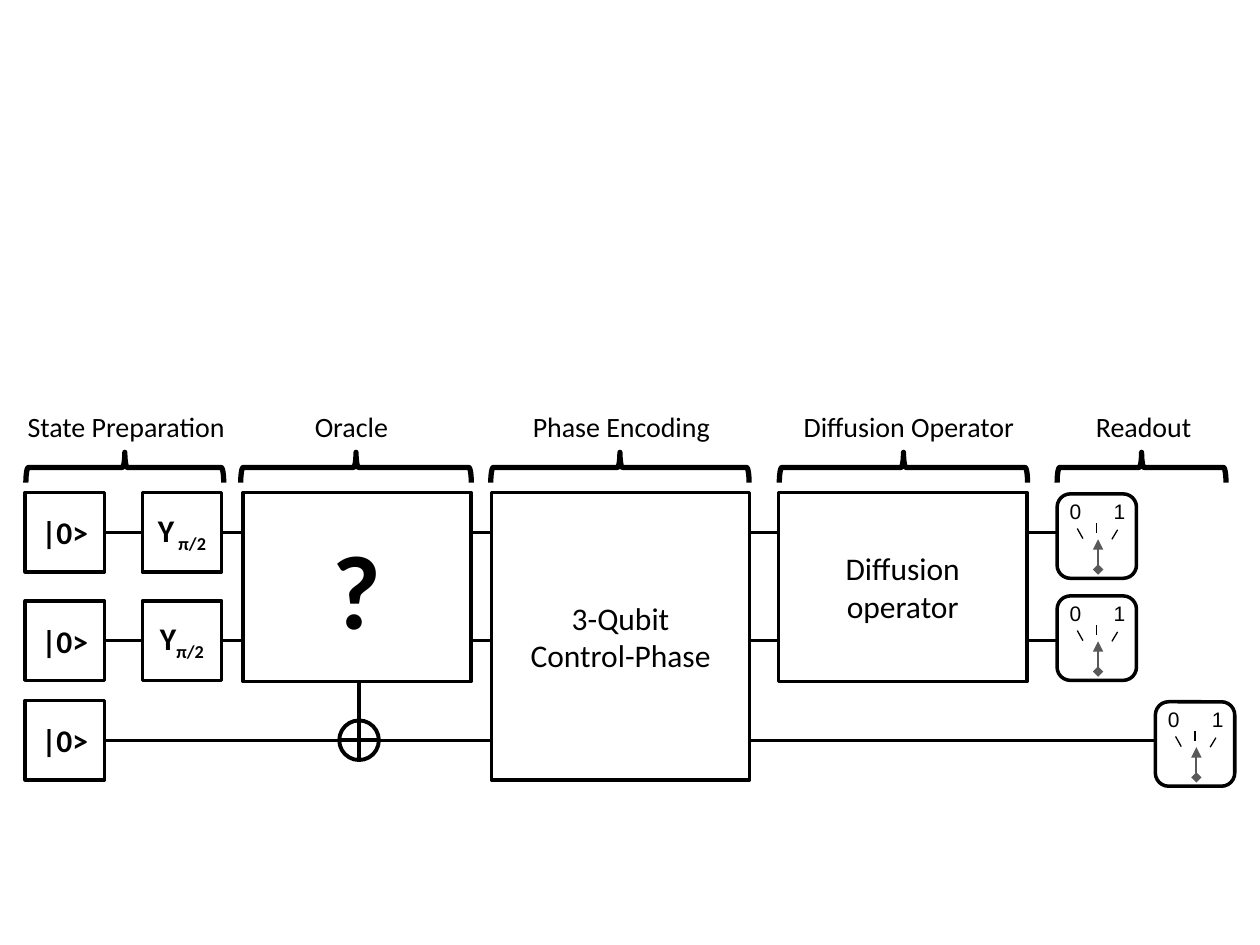
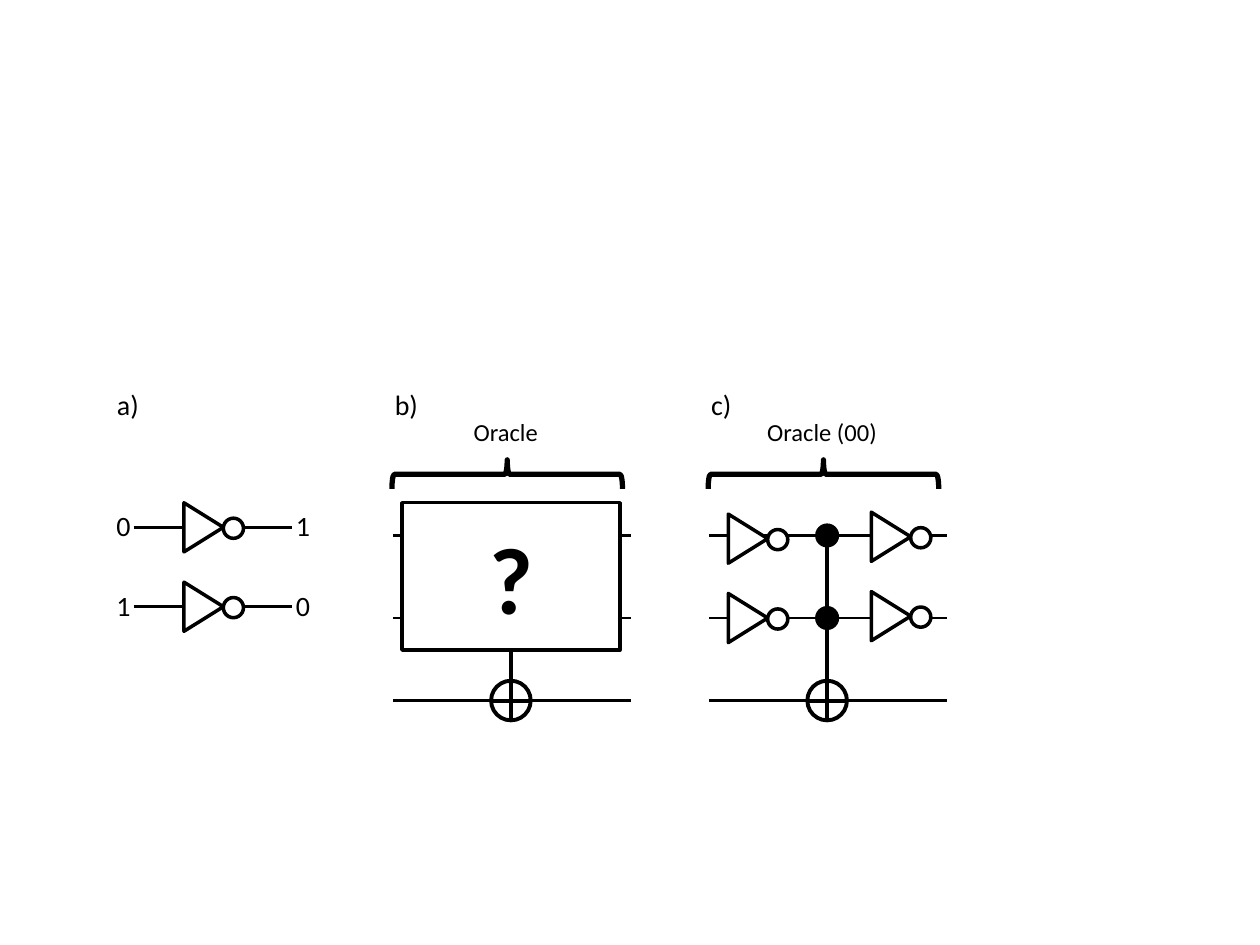
from dataclasses import dataclass
from typing import NamedTuple

from lxml.etree import SubElement
from pptx import Presentation
from pptx.dml.color import RGBColor as Color
from pptx.enum.shapes import MSO_CONNECTOR as Link, MSO_SHAPE as Kind
from pptx.enum.text import MSO_ANCHOR as Anchor, MSO_AUTO_SIZE as Auto, PP_ALIGN as Align
from pptx.oxml.ns import qn
from pptx.util import Emu, Inches, Pt

# Grid: 100 columns by 75 rows of square cells
COLS, ROWS = 100, 75
CELL = Inches(0.1)


@dataclass(frozen=True)
class Theme:
    ink: Color = Color(0, 0, 0)
    gray: Color = Color(0x59, 0x59, 0x59)
    paper: Color = Color(255, 255, 255)
    face: str = "Calibri"
    dial_face: str = "Arial"
    # Type sizes
    dial: int = 12
    small: int = 14
    label: int = 16
    gate: int = 18
    query: int = 54
    big_query: int = 60
    # Line widths
    tick: float = 0.75
    needle: float = 1
    wire: float = 1.5
    edge: float = 2
    bold: float = 2.25
    brace: float = 3


THEME = Theme()


class Box(NamedTuple):
    col: float
    row: float
    wide: float
    high: float


class Run(NamedTuple):
    text: str
    bold: bool = False
    drop: int = 0


class Gate(NamedTuple):
    box: Box
    lines: tuple
    size: int = THEME.gate


class Stage(NamedTuple):
    text: str
    mid: float
    wide: float
    label_mid: float
    label_wide: float


class Panel(NamedTuple):
    mark: str
    mark_wide: float
    text: str
    text_wide: float
    col: float


def cells(*nums: float) -> list:
    return [Emu(round(n * CELL)) for n in nums]


# Basic parts
def put_run(para, run: Run, size: int, face: str = THEME.face) -> None:
    item = para.add_run()
    item.text = run.text
    font = item.font
    font.name, font.size, font.bold = face, Pt(size), run.bold
    font.color.rgb = THEME.ink
    if run.drop:
        item._r.get_or_add_rPr().set("baseline", str(run.drop * 1000))


def style(shape, width: float, fill: Color | None) -> None:
    shape.shadow.inherit = False
    if fill is None:
        shape.fill.background()
    else:
        shape.fill.solid()
        shape.fill.fore_color.rgb = fill
    shape.line.color.rgb = THEME.ink
    shape.line.width = Pt(width)


def put_shape(pen, kind, box: Box, width: float = THEME.edge, fill: Color | None = THEME.paper):
    shape = pen.add_shape(kind, *cells(*box))
    style(shape, width, fill)
    return shape


def put_line(pen, x1: float, y1: float, x2: float, y2: float,
             width: float = THEME.wire, color: Color = THEME.ink, ends: tuple = ()) -> None:
    line = pen.add_connector(Link.STRAIGHT, *cells(x1, y1, x2, y2))
    line.line.color.rgb = color
    line.line.width = Pt(width)
    props = line._element.spPr
    for tag, form in zip(("a:headEnd", "a:tailEnd"), ends):
        SubElement(props.find(qn("a:ln")), qn(tag)).set("type", form)
    SubElement(props, qn("a:effectLst"))


def put_text(pen, text: str, box: Box, size: int = THEME.label, face: str = THEME.face) -> None:
    frame = pen.add_textbox(*cells(*box)).text_frame
    frame.word_wrap = False
    frame.auto_size = Auto.SHAPE_TO_FIT_TEXT
    put_run(frame.paragraphs[0], Run(text), size, face)


# Circuit parts
def put_gate(pen, gate: Gate) -> None:
    frame = put_shape(pen, Kind.RECTANGLE, gate.box).text_frame
    frame.word_wrap = True
    frame.vertical_anchor = Anchor.MIDDLE
    for i, line in enumerate(gate.lines):
        para = frame.add_paragraph() if i else frame.paragraphs[0]
        para.alignment = Align.CENTER
        for run in line:
            put_run(para, run, gate.size)


def put_brace(pen, mid: float, row: float, wide: float, high: float = 2.4) -> None:
    box = Box(mid - high / 2, row - wide / 2, high, wide)
    put_shape(pen, Kind.LEFT_BRACE, box, THEME.brace, None).rotation = 90


def put_cross(pen, mid: float, row: float, top: float) -> None:
    rad = 1.57
    put_shape(pen, Kind.OVAL, Box(mid - rad, row - rad, 2 * rad, 2 * rad), THEME.bold)
    put_line(pen, mid, row + rad, mid, top, THEME.bold)
    put_line(pen, mid - rad, row, mid + rad, row, THEME.bold)


def put_meter(pen, col: float, row: float) -> None:
    pen = pen.add_group_shape().shapes
    put_shape(pen, Kind.ROUNDED_RECTANGLE, Box(col, row, 6.3, 6.7))
    put_line(pen, col + 3.25, row + 6, col + 3.25, row + 3.6,
             THEME.needle, THEME.gray, ("diamond", "triangle"))
    for text, step in (("0", 0), ("1", 3.5)):
        put_text(pen, text, Box(col + step, row - 0.1, 2.9, 3), THEME.dial, THEME.dial_face)
    for x1, y1, x2, y2 in ((3.15, 3.1, 3.15, 2.3), (4.35, 3.6, 4.8, 2.85), (2.05, 3.55, 1.6, 2.75)):
        put_line(pen, col + x1, row + y1, col + x2, row + y2, THEME.tick)


def put_not(pen, col: float, mid: float) -> None:
    pen = pen.add_group_shape().shapes
    half, wide, ring = 1.95, 3.13, 1.6
    path = pen.build_freeform(*cells(col, mid - half), scale=1.0)
    path.add_line_segments([cells(col, mid + half), cells(col + wide, mid)], close=True)
    style(path.convert_to_shape(), THEME.edge, THEME.paper)
    put_shape(pen, Kind.OVAL, Box(col + wide, mid - 0.72, ring, ring))


# Slide 1: the whole search circuit
SIDE = 6.3
LANES = (39.1, 47.7, 55.6)
STAGES = (
    Stage("State Preparation", 9.9, 15.7, 10.15, 17.9),
    Stage("Oracle", 28.25, 18.3, 27.95, 7.9),
    Stage("Phase Encoding", 49.2, 20.5, 49.4, 16.2),
    Stage("Diffusion Operator", 71.7, 19.7, 72.3, 19),
    Stage("Readout", 90.6, 13.4, 90.85, 9.7),
)
GATES = (
    *(Gate(Box(2, row, SIDE, SIDE), ((Run("|0>", True),),)) for row in LANES),
    *(Gate(Box(11.3, row, SIDE, SIDE), ((Run("Y", True), Run(sub, True, -25)),))
      for row, sub in zip(LANES, (" π/2", "π/2"))),
    Gate(Box(19.3, LANES[0], 18.1, 15), ((Run("?", True),),), THEME.big_query),
    Gate(Box(39, LANES[0], 20.5, 22.8), ((Run("3-Qubit"),), (Run("Control-Phase"),))),
    Gate(Box(61.8, LANES[0], 19.7, 15), ((Run("Diffusion operator"),),)),
)
METERS = ((91.7, 55.7), (83.9, 47.3), (83.9, 39.2))


def draw_search(pen) -> None:
    for row, end in zip(LANES, (87, 87, 95.7)):
        mid = row + SIDE / 2
        put_line(pen, 8.3, mid, end, mid)
    put_cross(pen, 28.5, LANES[2] + SIDE / 2, 41.2)
    for stage in STAGES:
        put_text(pen, stage.text,
                 Box(stage.label_mid - stage.label_wide / 2, 32, stage.label_wide, 3.7))
        put_brace(pen, stage.mid, 37.1, stage.wide)
    for gate in GATES:
        put_gate(pen, gate)
    for col, row in METERS:
        put_meter(pen, col, row)


# Slide 2: the inverter, the oracle and one case of it
PANELS = (
    Panel("b)", 3.9, "Oracle", 7.2, 31.2),
    Panel("c)", 3.6, "Oracle (00)", 10.8, 56.3),
)
WIRES = tuple(42.5 + 6.55 * i for i in range(3))
FLIPS = ((41.85, "0", "1"), (48.15, "1", "0"))


def draw_panel(pen, panel: Panel) -> None:
    col = panel.col
    for row in WIRES:
        put_line(pen, col, row, col + 18.9, row)
    put_cross(pen, col + 9.35, WIRES[2], 41.7)
    put_brace(pen, col + 9.05, 37.65, 18.3, 2.3)
    put_text(pen, panel.text, Box(col + 9 - panel.text_wide / 2, 32.6, panel.text_wide, 3.4), THEME.small)
    put_text(pen, panel.mark, Box(col - 0.85, 30.3, panel.mark_wide, 3.7))


def draw_parts(pen) -> None:
    # Inverter
    put_text(pen, "a)", Box(8.3, 30.3, 3.8, 3.7))
    for mid, left, right in FLIPS:
        put_line(pen, 10.6, mid, 23.2, mid)
        put_not(pen, 14.6, mid)
        for text, col in ((left, 8.25), (right, 22.5)):
            put_text(pen, text, Box(col, mid - 1.95, 3.2, 3.7))
    for panel in PANELS:
        draw_panel(pen, panel)
    # Closed oracle
    put_gate(pen, Gate(Box(31.9, 39.9, 17.3, 11.7), ((Run("?", True),),), THEME.query))
    # Open oracle
    dot = 1.6
    col = PANELS[1].col
    for row in WIRES[:2]:
        put_shape(pen, Kind.OVAL, Box(col + 9.35 - dot / 2, row - dot / 2, dot, dot),
                  THEME.bold, THEME.ink)
    for step, top in ((1.5, 42.75), (12.85, 42.6)):
        for i in range(2):
            put_not(pen, col + step, top + 6.3 * i)


def main() -> None:
    deck = Presentation()
    deck.slide_width, deck.slide_height = cells(COLS, ROWS)
    for draw in (draw_search, draw_parts):
        draw(deck.slides.add_slide(deck.slide_layouts[6]).shapes)
    deck.save("out.pptx")


if __name__ == "__main__":
    main()
